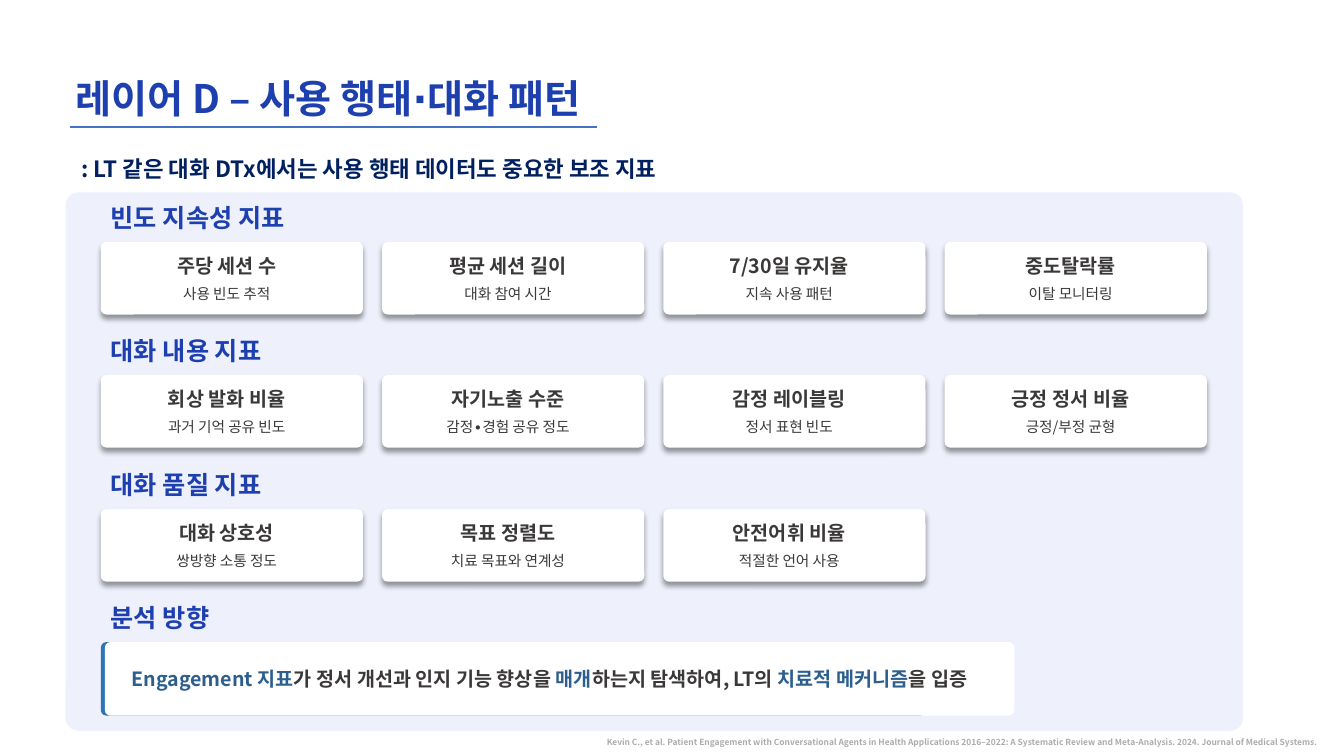
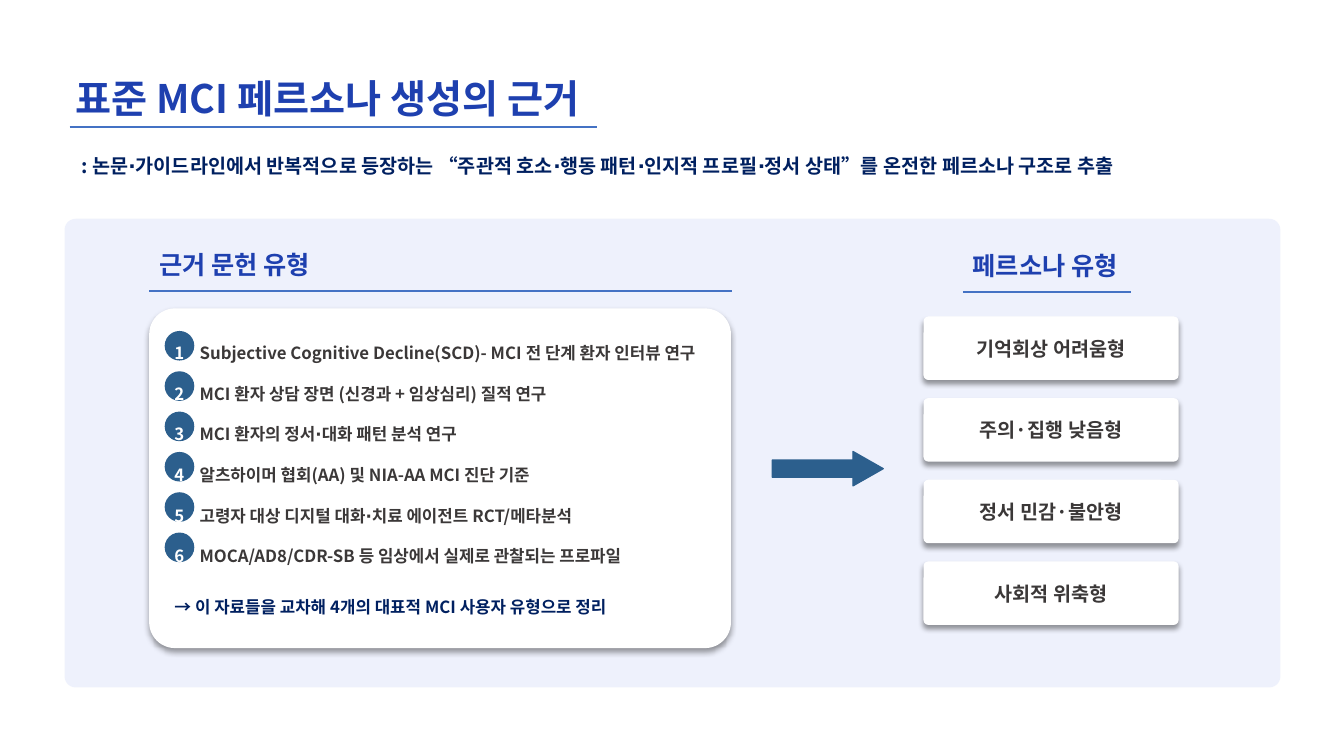
from lxml.etree import SubElement
from pptx import Presentation
from pptx.dml.color import RGBColor
from pptx.enum.shapes import MSO_CONNECTOR, MSO_SHAPE
from pptx.enum.text import MSO_ANCHOR, MSO_AUTO_SIZE, PP_ALIGN
from pptx.oxml.ns import qn
from pptx.util import Inches, Pt

FACE = "Noto Sans CJK KR"
BLUE = RGBColor(0x1E, 0x40, 0xAF)
NAVY = RGBColor(0x00, 0x20, 0x60)
RULE = RGBColor(0x44, 0x72, 0xC4)
STEEL = RGBColor(0x2C, 0x5F, 0x8D)
BAR = RGBColor(0x2E, 0x75, 0xB6)
PALE = RGBColor(0xEE, 0xF1, 0xFC)
INK = RGBColor(0x3B, 0x38, 0x38)
GREY = RGBColor(0xAF, 0xAB, 0xAB)
WHITE = RGBColor(0xFF, 0xFF, 0xFF)

GROUPS = [
    (1.96, "빈도 지속성 지표", [
        ("주당 세션 수", "사용 빈도 추적"),
        ("평균 세션 길이", "대화 참여 시간"),
        ("7/30일 유지율", "지속 사용 패턴"),
        ("중도탈락률", "이탈 모니터링")]),
    (3.28, "대화 내용 지표", [
        ("회상 발화 비율", "과거 기억 공유 빈도"),
        ("자기노출 수준", "감정∙경험 공유 정도"),
        ("감정 레이블링", "정서 표현 빈도"),
        ("긍정 정서 비율", "긍정/부정 균형")]),
    (4.61, "대화 품질 지표", [
        ("대화 상호성", "쌍방향 소통 정도"),
        ("목표 정렬도", "치료 목표와 연계성"),
        ("안전어휘 비율", "적절한 언어 사용")]),
]
AIM = [
    ("Engagement 지표", STEEL),
    ("가 정서 개선과 인지 기능 향상을 ", INK),
    ("매개", STEEL),
    ("하는지 탐색하여, LT의 ", INK),
    ("치료적 메커니즘", STEEL),
    ("을 입증", INK),
]
CITE = ("Kevin C., et al. Patient Engagement with Conversational Agents in Health "
        "Applications 2016–2022: A Systematic Review and Meta-Analysis. 2024. "
        "Journal of Medical Systems.")
STUDIES = [
    "Subjective Cognitive Decline(SCD)- MCI 전 단계 환자 인터뷰 연구",
    "MCI 환자 상담 장면 (신경과 + 임상심리) 질적 연구",
    "MCI 환자의 정서∙대화 패턴 분석 연구",
    "알츠하이머 협회(AA) 및 NIA-AA MCI 진단 기준",
    "고령자 대상 디지털 대화∙치료 에이전트 RCT/메타분석",
    "MOCA/AD8/CDR-SB 등 임상에서 실제로 관찰되는 프로파일",
]
RESULT = "→ 이 자료들을 교차해 4개의 대표적 MCI 사용자 유형으로 정리"
TYPES = ["기억회상 어려움형", "주의·집행 낮음형", "정서 민감·불안형", "사회적 위축형"]


def style(para, size, color, bold=True, align=PP_ALIGN.LEFT, line=None, gap=0):
    """Set the font and spacing of a paragraph."""
    para.alignment = align
    para.space_before = Pt(gap)
    if line:
        para.line_spacing = Pt(line)
    font = para.font
    font.size, font.bold, font.name = Pt(size), bold, FACE
    font.color.rgb = color
    for props in para._p.iter(qn("a:defRPr")):
        SubElement(props, qn("a:ea"), typeface=FACE)


def place(shape, box):
    """Move a shape to a box given in inches."""
    shape.left, shape.top, shape.width, shape.height = map(Inches, box)


def label(slide, box, text, size, color, line=None, wrap=True):
    """Add a one-line text box."""
    frame = slide.shapes.add_textbox(*map(Inches, box)).text_frame
    frame.word_wrap = wrap
    frame.vertical_anchor = MSO_ANCHOR.TOP if line else MSO_ANCHOR.MIDDLE
    para = frame.paragraphs[0]
    para.text = text
    style(para, size, color, line=line)


def rule(slide, x, y, width):
    """Draw a thin horizontal line."""
    line = slide.shapes.add_connector(
        MSO_CONNECTOR.STRAIGHT, Inches(x), Inches(y), Inches(x + width), Inches(y))
    line.line.color.rgb = RULE
    line.line.width = Pt(1.5)
    SubElement(line.element.spPr, qn("a:effectLst"))


def form(slide, kind, box, fill, edge=False, adjust=()):
    """Add a filled preset shape without a shadow."""
    shape = slide.shapes.add_shape(kind, *map(Inches, box))
    shape.shadow.inherit = False
    shape.fill.solid()
    shape.fill.fore_color.rgb = fill
    if edge:
        shape.line.color.rgb = fill
        shape.line.width = Pt(1)
    else:
        shape.line.fill.background()
    for index, value in enumerate(adjust):
        shape.adjustments[index] = value
    return shape


def round_box(slide, box, fill, curve=0.076):
    """Add a rounded box."""
    return form(slide, MSO_SHAPE.ROUNDED_RECTANGLE, box, fill, adjust=[curve])


def card(slide, box):
    """Add a white card with a soft shadow."""
    shape = round_box(slide, box, WHITE)
    effect = shape.element.spPr.find(qn("a:effectLst"))
    shade = SubElement(effect, qn("a:outerShdw"), blurRad=str(Pt(4)),
                       dist=str(Pt(3)), dir="5400000", algn="t", rotWithShape="0")
    tint = SubElement(shade, qn("a:srgbClr"), val="000000")
    SubElement(tint, qn("a:alpha"), val="40000")
    return shape


def fill_card(shape, title, note=None, right=0.1):
    """Write a title and an optional note in a card."""
    frame = shape.text_frame
    frame.margin_right = Inches(right)
    frame.vertical_anchor = MSO_ANCHOR.MIDDLE
    para = frame.paragraphs[0]
    para.text = title
    style(para, 14, INK, align=PP_ALIGN.CENTER, line=17)
    if note:
        para = frame.add_paragraph()
        para.text = note
        style(para, 10.5, INK, bold=False, align=PP_ALIGN.CENTER, line=12.6, gap=5)


def start(deck, layout, title, lead, size, box):
    """Add a slide with its title, rule, lead line and panel."""
    slide = deck.slides.add_slide(deck.slide_layouts[layout])
    head = slide.shapes.title
    place(head, (0.65, 0.69, 5.94, 0.57))
    head.text_frame.text = title
    head.text_frame.auto_size = MSO_AUTO_SIZE.NONE
    head.text_frame.vertical_anchor = MSO_ANCHOR.MIDDLE
    style(head.text_frame.paragraphs[0], 28, BLUE)
    rule(slide, 0.69, 1.26, 5.23)
    label(slide, (0.71, 1.36, 12.35, 0.46), lead, size, NAVY, line=size * 1.8)
    round_box(slide, box, PALE, 0.024)
    return slide


def group(slide, x, y, title, cells):
    """Add a heading with a row of metric cards."""
    label(slide, (x, y, 4.05, 0.4), title, 18, BLUE)
    for col, (name, note) in enumerate(cells):
        shape = card(slide, (x + col * 2.79, y + 0.44, 2.6, 0.72))
        fill_card(shape, name, note, right=0.2)


def aim(slide, x, y):
    """Add the closing statement with its accent bar."""
    label(slide, (x, y, 4.05, 0.4), "분석 방향", 18, BLUE)
    round_box(slide, (x, y + 0.44, 8.18, 0.73), BAR)
    frame = round_box(slide, (x + 0.04, y + 0.44, 9.02, 0.73), WHITE).text_frame
    frame.margin_right = Inches(0.3)
    frame.vertical_anchor = MSO_ANCHOR.MIDDLE
    para = frame.paragraphs[0]
    for text, color in AIM:
        run = para.add_run()
        run.text = text
        run.font.color.rgb = color
    style(para, 14, INK, align=PP_ALIGN.CENTER)


def number(para):
    """Give a paragraph a white number with a hanging indent."""
    props = para._p.get_or_add_pPr()
    props.set("marL", str(Inches(0.25)))
    props.set("indent", str(-Inches(0.25)))
    SubElement(SubElement(props, qn("a:buClr")), qn("a:srgbClr"), val=str(WHITE))
    SubElement(props, qn("a:buFont"), typeface=FACE)
    SubElement(props, qn("a:buAutoNum"), type="arabicPlain")


def plain(para):
    """Take the bullet off a paragraph."""
    props = para._p.get_or_add_pPr()
    props.set("marL", "0")
    props.set("indent", "0")
    SubElement(props, qn("a:buNone"))


def studies(slide, x, y):
    """Add the numbered list of source studies."""
    label(slide, (x, y, 4.05, 0.4), "근거 문헌 유형", 18, BLUE)
    rule(slide, x, y + 0.47, 5.78)
    card(slide, (x, y + 0.64, 5.77, 3.37))
    for row in range(len(STUDIES)):
        form(slide, MSO_SHAPE.OVAL, (x + 0.16, y + 0.87 + row * 0.4, 0.28, 0.28),
             STEEL, edge=True)
    body = slide.placeholders[1]
    place(body, (x + 0.15, y + 0.73, 5.53, 3.1))
    slide.shapes.element.append(body.element)
    frame = body.text_frame
    frame.auto_size = MSO_AUTO_SIZE.NONE
    frame.vertical_anchor = MSO_ANCHOR.TOP
    frame.text = "\n".join(STUDIES + [RESULT])
    *items, last = frame.paragraphs
    for para in items:
        number(para)
        style(para, 12, INK, line=29)
    plain(last)
    style(last, 12, NAVY, line=29, gap=7)


def types(slide, x, y):
    """Add the column of persona types."""
    label(slide, (x + 0.39, y, 1.96, 0.4), "페르소나 유형", 18, BLUE)
    rule(slide, x + 0.39, y + 0.47, 1.67)
    for row, name in enumerate(TYPES):
        fill_card(card(slide, (x, y + 0.71 + row * 0.81, 2.53, 0.63)), name)


def usage(deck):
    """Build the slide on usage and dialogue patterns."""
    slide = start(deck, 5, "레이어 D – 사용 행태∙대화 패턴",
                  ": LT 같은 대화 DTx에서는 사용 행태 데이터도 중요한 보조 지표",
                  16, (0.65, 1.91, 11.68, 5.34))
    for y, title, cells in GROUPS:
        group(slide, 1, y, title, cells)
    aim(slide, 1, 5.93)
    label(slide, (5.92, 7.26, 7.41, 0.2), CITE, 6, GREY, wrap=False)


def persona(deck):
    """Build the slide on the grounds for the personas."""
    slide = start(deck, 1, "표준 MCI 페르소나 생성의 근거",
                  ": 논문∙가이드라인에서 반복적으로 등장하는 “주관적 호소∙행동 패턴∙"
                  "인지적 프로필∙정서 상태”를 온전한 페르소나 구조로 추출",
                  14, (0.64, 2.17, 12.06, 4.65))
    studies(slide, 1.48, 2.42)
    types(slide, 9.16, 2.43)
    form(slide, MSO_SHAPE.RIGHT_ARROW, (7.66, 4.48, 1.1, 0.34), STEEL,
         edge=True, adjust=[0.5, 0.88])


def main():
    """Build and save the deck."""
    deck = Presentation()
    deck.slide_width, deck.slide_height = Inches(13.33), Inches(7.5)
    usage(deck)
    persona(deck)
    deck.save("out.pptx")


if __name__ == "__main__":
    main()
